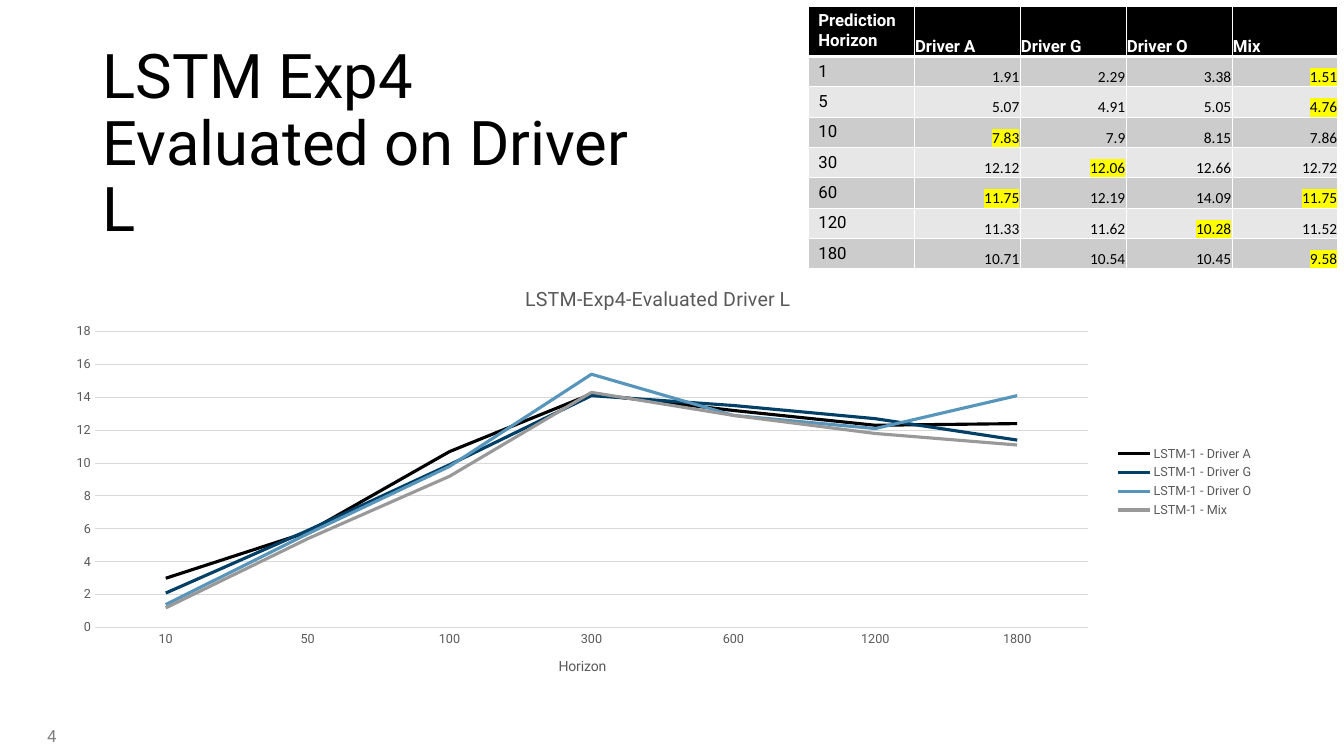
from dataclasses import dataclass

from lxml import etree
from pptx import Presentation
from pptx import util as u
from pptx.chart import data as chart_data
from pptx.dml import color
from pptx.enum import chart as ch, text
from pptx.oxml import ns


@dataclass(frozen=True)
class Theme:
    font: str = "Roboto"
    number_font: str = "Calibri"
    ink: str = "000000"
    paper: str = "FFFFFF"
    page_grey: str = "808080"
    label_grey: str = "595959"
    rule_grey: str = "D9D9D9"
    bands: tuple = ("CCCCCC", "E7E7E7")
    marker: str = "FFFF00"
    lines: tuple = ("000000", "003F66", "5795BB", "999999")
    title_size: float = 44
    chart_title_size: float = 14
    table_size: float = 12
    number_size: float = 11
    axis_title_size: float = 10
    label_size: float = 9


THEME = Theme()

DRIVERS = ["Driver A", "Driver G", "Driver O", "Mix"]
# Horizon, one error per driver, and the drivers marked as best
ERRORS = [
    ("1", ("1.91", "2.29", "3.38", "1.51"), {"Mix"}),
    ("5", ("5.07", "4.91", "5.05", "4.76"), {"Mix"}),
    ("10", ("7.83", "7.9", "8.15", "7.86"), {"Driver A"}),
    ("30", ("12.12", "12.06", "12.66", "12.72"), {"Driver G"}),
    ("60", ("11.75", "12.19", "14.09", "11.75"), {"Driver A", "Mix"}),
    ("120", ("11.33", "11.62", "10.28", "11.52"), {"Driver O"}),
    ("180", ("10.71", "10.54", "10.45", "9.58"), {"Mix"}),
]
HORIZONS = ["10", "50", "100", "300", "600", "1200", "1800"]
CURVES = [
    (3, 5.8, 10.7, 14.2, 13.2, 12.3, 12.4),
    (2.1, 5.9, 9.9, 14.1, 13.5, 12.7, 11.4),
    (1.4, 5.7, 9.8, 15.4, 12.9, 12.1, 14.1),
    (1.2, 5.4, 9.2, 14.3, 12.9, 11.8, 11.1),
]


def rgb(value):
    return color.RGBColor.from_string(value)


def set_font(font, size, ink, name=THEME.font, bold=False):
    font.name, font.size, font.bold = name, u.Pt(size), bold
    font.color.rgb = rgb(ink)


def add_line_of_text(slide, box, words, size, ink, spacing=1.0):
    frame = slide.shapes.add_textbox(*box).text_frame
    frame.word_wrap = True
    frame.text = words
    paragraph = frame.paragraphs[0]
    paragraph.line_spacing = spacing
    set_font(paragraph.runs[0].font, size, ink)


# Error table
def set_borders(cell, top, bottom):
    properties = cell._tc.get_or_add_tcPr()
    for side, width in (("L", 1), ("R", 1), ("T", top), ("B", bottom)):
        line = etree.SubElement(properties, ns.qn(f"a:ln{side}"), w=str(u.Pt(width)))
        fill = etree.SubElement(line, ns.qn("a:solidFill"))
        etree.SubElement(fill, ns.qn("a:srgbClr"), val=THEME.paper)


def highlight(run):
    mark = etree.Element(ns.qn("a:highlight"))
    etree.SubElement(mark, ns.qn("a:srgbClr"), val=THEME.marker)
    run.font._element.find(ns.qn("a:solidFill")).addnext(mark)


def fill_cell(cell, words, row, column):
    header, horizon = row == 0, column == 0
    set_borders(cell, top=3 if row == 1 else 1, bottom=3 if header else 1)
    cell.fill.solid()
    cell.fill.fore_color.rgb = rgb(THEME.ink if header else THEME.bands[(row - 1) % 2])
    cell.text_frame.text = words
    paragraph = cell.text_frame.paragraphs[0]
    if not horizon:
        cell.vertical_anchor = text.MSO_ANCHOR.BOTTOM
        cell.margin_left = cell.margin_right = cell.margin_top = u.Cm(0.02)
        cell.margin_bottom = 0
    run = paragraph.runs[0]
    if header or horizon:
        set_font(run.font, THEME.table_size, THEME.paper if header else THEME.ink, bold=header)
    else:
        paragraph.alignment = text.PP_ALIGN.RIGHT
        set_font(run.font, THEME.number_size, THEME.ink, THEME.number_font)
    return run


def add_error_table(slide, box):
    left, top, width, height = box
    table = slide.shapes.add_table(len(ERRORS) + 1, len(DRIVERS) + 1, *box).table
    table.horz_banding = False
    for column in table.columns:
        column.width = width // len(table.columns)
    header_height = u.Cm(1.24)
    for index, row in enumerate(table.rows):
        row.height = (height - header_height) // len(ERRORS) if index else header_height

    for column, heading in enumerate(["Prediction Horizon", *DRIVERS]):
        fill_cell(table.cell(0, column), heading, 0, column)
    for row, (horizon, errors, best) in enumerate(ERRORS, 1):
        fill_cell(table.cell(row, 0), horizon, row, 0)
        for column, (driver, error) in enumerate(zip(DRIVERS, errors), 1):
            run = fill_cell(table.cell(row, column), error, row, column)
            if driver in best:
                highlight(run)


# Error curves
def set_title(owner, words, size):
    frame = (owner.chart_title if hasattr(owner, "chart_title") else owner.axis_title).text_frame
    frame.text = words
    set_font(frame.paragraphs[0].runs[0].font, size, THEME.label_grey)


def place_plot(chart, **shares):
    area = chart._chartSpace.chart.plotArea
    layout = area.find(ns.qn("c:layout"))
    if layout is None:
        layout = etree.Element(ns.qn("c:layout"))
        area.insert(0, layout)
    manual = etree.SubElement(layout, ns.qn("c:manualLayout"))
    settings = {"layoutTarget": "inner", "xMode": "edge", "yMode": "edge", **shares}
    for name, value in settings.items():
        etree.SubElement(manual, ns.qn(f"c:{name}"), val=str(value))


def add_error_chart(slide, box):
    curves = chart_data.CategoryChartData()
    curves.categories = HORIZONS
    for driver, values in zip(DRIVERS, CURVES):
        curves.add_series(f"LSTM-1 - {driver}", values)
    chart = slide.shapes.add_chart(ch.XL_CHART_TYPE.LINE, *box, curves).chart
    set_font(chart.font, THEME.axis_title_size, THEME.ink)
    set_title(chart, "LSTM-Exp4-Evaluated Driver L", THEME.chart_title_size)
    chart.chart_title.include_in_layout = False
    place_plot(chart, x=0.035, y=0.148, w=0.82, h=0.693)

    chart.plots[0].vary_by_categories = False
    for series, ink in zip(chart.plots[0].series, THEME.lines):
        series.smooth = False
        series.marker.style = ch.XL_MARKER_STYLE.NONE
        series.format.line.width = u.Pt(2.25)
        series.format.line.color.rgb = rgb(ink)

    for axis in (chart.category_axis, chart.value_axis):
        axis.major_tick_mark = axis.minor_tick_mark = ch.XL_TICK_MARK.NONE
        set_font(axis.tick_labels.font, THEME.label_size, THEME.label_grey)
    set_title(chart.category_axis, "Horizon", THEME.axis_title_size)
    errors = chart.value_axis
    errors.minimum_scale, errors.maximum_scale, errors.major_unit = 0, 18, 2
    errors.format.line.fill.background()
    for line in (chart.category_axis.format.line, errors.major_gridlines.format.line):
        line.color.rgb = rgb(THEME.rule_grey)
        line.width = u.Pt(0.75)

    chart.has_legend = True
    chart.legend.position = ch.XL_LEGEND_POSITION.RIGHT
    chart.legend.include_in_layout = False
    set_font(chart.legend.font, THEME.label_size, THEME.label_grey)


def cm_box(*lengths):
    return tuple(u.Cm(length) for length in lengths)


def main():
    deck = Presentation()
    deck.slide_width, deck.slide_height = u.Cm(33.87), u.Cm(19.05)
    slide = deck.slides.add_slide(deck.slide_layouts[6])
    add_line_of_text(slide, cm_box(0.94, 18.16, 1.8, 0.76), "4", THEME.table_size, THEME.page_grey)
    add_error_chart(slide, cm_box(1.32, 6.76, 30.53, 10.77))
    add_line_of_text(slide, cm_box(2.34, 1.02, 14.8, 3.68), "LSTM Exp4 Evaluated on Driver L",
                     THEME.title_size, THEME.ink, spacing=0.9)
    add_error_table(slide, cm_box(20.37, 0.15, 13.35, 6.6))
    deck.save("out.pptx")


if __name__ == "__main__":
    main()
